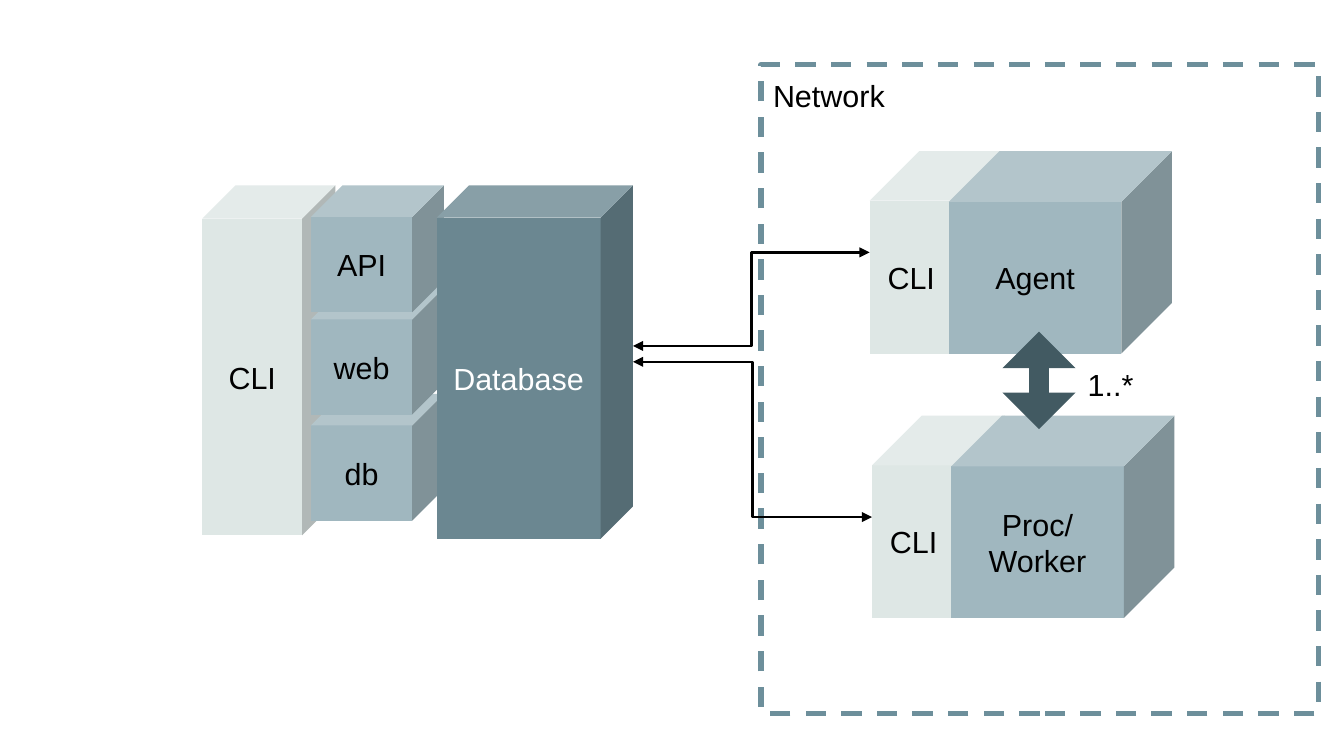
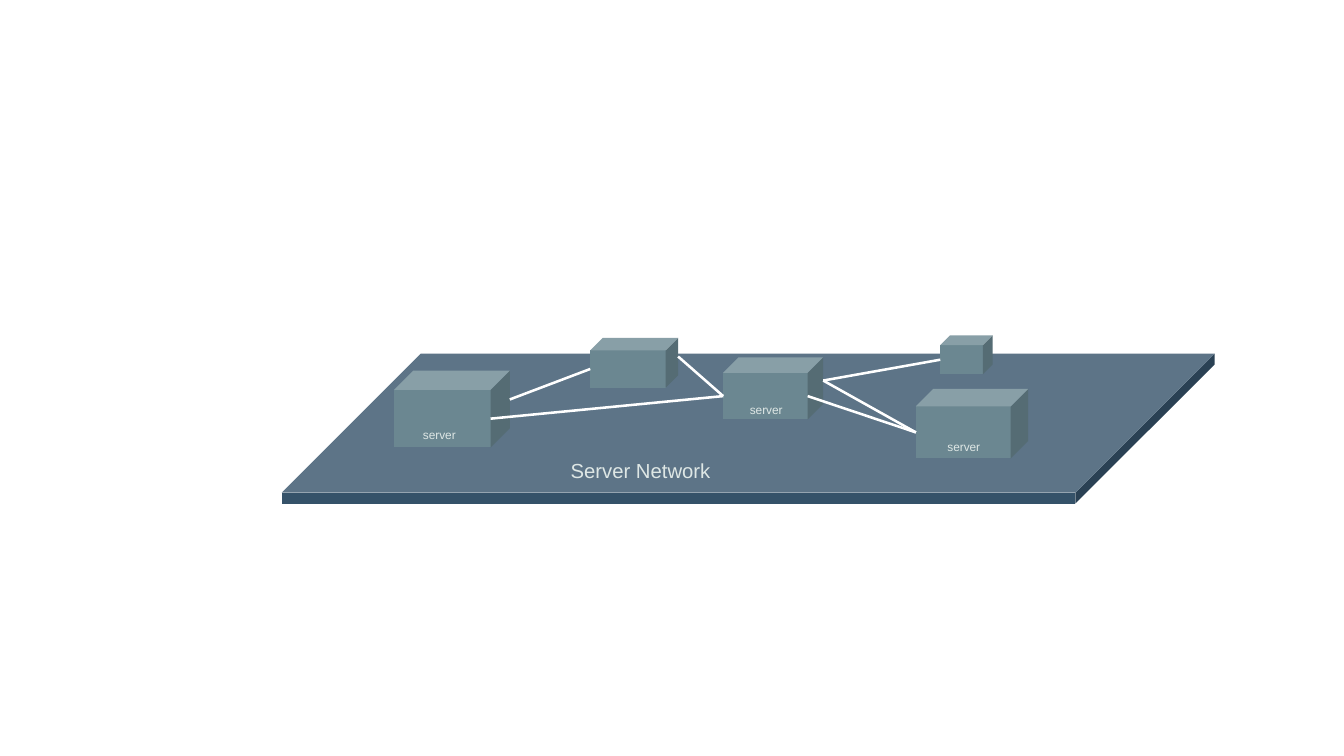
from lxml import etree
from pptx import Presentation
from pptx.dml.color import RGBColor
from pptx.enum.dml import MSO_LINE
from pptx.enum.shapes import MSO_CONNECTOR as CONNECTOR, MSO_SHAPE as SHAPE
from pptx.enum.text import MSO_ANCHOR as ANCHOR, MSO_AUTO_SIZE as AUTO_SIZE, PP_ALIGN as ALIGN
from pptx.oxml.ns import qn
from pptx.util import Inches, Pt

# Shared look
FONT = "Arial"
BLACK, WHITE = "000000", "FFFFFF"
PALE, MIST, SLATE = "DEE7E5", "A0B7BF", "6B8791"
DEEP, PLANE, FRAME = "425A62", "355269", "6D8F9B"
CUBE_FRAME = {"vertical_anchor": ANCHOR.MIDDLE, "word_wrap": False}
LABEL_FRAME = {"vertical_anchor": ANCHOR.TOP, "word_wrap": True,
               "auto_size": AUTO_SIZE.SHAPE_TO_FIT_TEXT}


def color(hex_value):
    return RGBColor.from_string(hex_value)


def inches(values):
    return [Inches(value) for value in values]


def set_all(target, values):
    for name, value in values.items():
        setattr(target, name, value)


def write(shape, text, size, ink, frame_format, align):
    frame = shape.text_frame
    frame.text = text
    set_all(frame, frame_format)
    for paragraph in frame.paragraphs:
        paragraph.alignment = align
        set_all(paragraph.font, {"name": FONT, "size": Pt(size)})
        paragraph.font.color.rgb = color(ink)


def add_solid(shapes, kind, box, fill, adjustments):
    solid = shapes.add_shape(kind, *inches(box))
    solid.shadow.inherit = False
    solid.fill.solid()
    solid.fill.fore_color.rgb = color(fill)
    solid.line.fill.background()
    for index, value in enumerate(adjustments):
        solid.adjustments[index] = value
    return solid


def add_cube(shapes, box, fill, text="", depth=0.25, ink=BLACK):
    cube = add_solid(shapes, SHAPE.CUBE, box, fill, [depth])
    if text:
        write(cube, text, 18, ink, CUBE_FRAME, ALIGN.CENTER)


def add_label(shapes, box, text, size=18, ink=BLACK):
    write(shapes.add_textbox(*inches(box)), text, size, ink, LABEL_FRAME, ALIGN.LEFT)


def add_link(shapes, start, end, ink, kind=CONNECTOR.STRAIGHT, arrows=False):
    link = shapes.add_connector(kind, *inches([*start, *end]))
    link.line.color.rgb = color(ink)
    link.line.width = Pt(1.5)
    if arrows:
        outline = link.line._get_or_add_ln()
        for tag in ("a:headEnd", "a:tailEnd"):
            etree.SubElement(outline, qn(tag)).set("type", "triangle")
    etree.SubElement(link._element.spPr, qn("a:effectLst"))


def cube_site(box, side, depth=0.25):
    """Middle of a cube's left edge, right edge or front-right edge."""
    left, top, width, height = box
    inset = depth * min(width, height)
    return {
        "left": (left, top + (height + inset) / 2),
        "right": (left + width, top + (height - inset) / 2),
        "front": (left + width - inset, top + (height + inset) / 2),
    }[side]


# Slide 1: application parts
def application_stack(shapes, left, top):
    """Draws the stack and returns the database's right-hand site."""
    add_cube(shapes, (left, top, 1.09, 2.87), PALE, "CLI")
    for text, offset in (("db", 1.71), ("web", 0.84), ("API", 0)):
        add_cube(shapes, (left + 0.89, top + offset, 1.09, 1.04), MIST, text)
    database = (left + 1.92, top, 1.61, 2.9)
    add_cube(shapes, database, SLATE, "Database", 0.165, WHITE)
    return cube_site(database, "right", 0.165)


def network_node(shapes, left, top, text):
    """Draws a CLI with its program and returns the left-hand site."""
    height = 1.66
    node = shapes.add_group_shape().shapes
    add_cube(node, (left, top, 1.09, height), PALE, "CLI", 0.373)
    add_cube(node, (left + 0.65, top, 1.83, height), MIST, text)
    return left, top + height / 2


def network_region(shapes, left, top, width, height):
    """Draws the dashed region and returns the sites of its two nodes."""
    sites = [network_node(shapes, left + 0.89, top + 0.71, "Agent"),
             network_node(shapes, left + 0.91, top + 2.88, "Proc/\nWorker")]
    add_solid(shapes, SHAPE.UP_DOWN_ARROW, (left + 1.98, top + 2.19, 0.6, 0.8),
              DEEP, [0.5, 0.269])
    add_label(shapes, (left + 2.58, top + 2.42, 0.8, 0.38), "1..*")
    border = shapes.add_shape(SHAPE.RECTANGLE, *inches((left, top, width, height)))
    border.shadow.inherit = False
    border.fill.background()
    border.line.color.rgb = color(FRAME)
    set_all(border.line, {"width": Pt(3), "dash_style": MSO_LINE.DASH})
    add_label(shapes, (left, top + 0.05, 1.3, 0.38), "Network")
    return sites


def architecture_slide(slide):
    shapes = slide.shapes
    x, y = application_stack(shapes, 1.66, 1.52)
    for index, site in enumerate(network_region(shapes, 6.24, 0.53, 4.57, 5.32)):
        add_link(shapes, (x, y + index * 0.13), site, BLACK, CONNECTOR.ELBOW, True)


# Slide 2: servers on a plane
def server_plane(shapes, left, top):
    plane = shapes.add_group_shape().shapes
    add_cube(plane, (left, top, 7.65, 1.23), PLANE, depth=0.928)
    add_label(plane, (left + 2.27, top + 0.81, 2.55, 0.66), "Server Network", 12, PALE)


def server_network(shapes, left, top):
    server_plane(shapes, left, top)
    offsets = {
        "west": (0.92, 0.14, 0.95, 0.63),
        "north": (2.53, -0.13, 0.72, 0.41),
        "east": (5.2, 0.29, 0.92, 0.57),
        "far": (5.4, -0.15, 0.43, 0.32),
        "hub": (3.62, 0.03, 0.82, 0.51),
    }
    servers = {name: (left + x, top + y, width, height)
               for name, (x, y, width, height) in offsets.items()}
    for box in servers.values():
        add_cube(shapes, box, SLATE)

    # Links between the servers
    links = (("west", "right", "north"), ("west", "front", "hub"),
             ("north", "right", "hub"), ("hub", "front", "east"),
             ("hub", "right", "far"), ("hub", "right", "east"))
    for source, side, target in links:
        add_link(shapes, cube_site(servers[source], side),
                 cube_site(servers[target], "left"), WHITE)

    # Names on the larger servers
    for name, x, y in (("west", 0.14, 0.42), ("hub", 0.12, 0.32), ("east", 0.16, 0.37)):
        server_left, server_top = servers[name][:2]
        add_label(shapes, (server_left + x, server_top + y, 1, 0.21), "server", 7, PALE)


def main():
    deck = Presentation()
    set_all(deck, {"slide_width": Inches(11.02), "slide_height": Inches(6.2)})
    blank = deck.slide_layouts[6]
    architecture_slide(deck.slides.add_slide(blank))
    server_network(deck.slides.add_slide(blank).shapes, 2.31, 2.9)
    deck.save("out.pptx")


if __name__ == "__main__":
    main()
